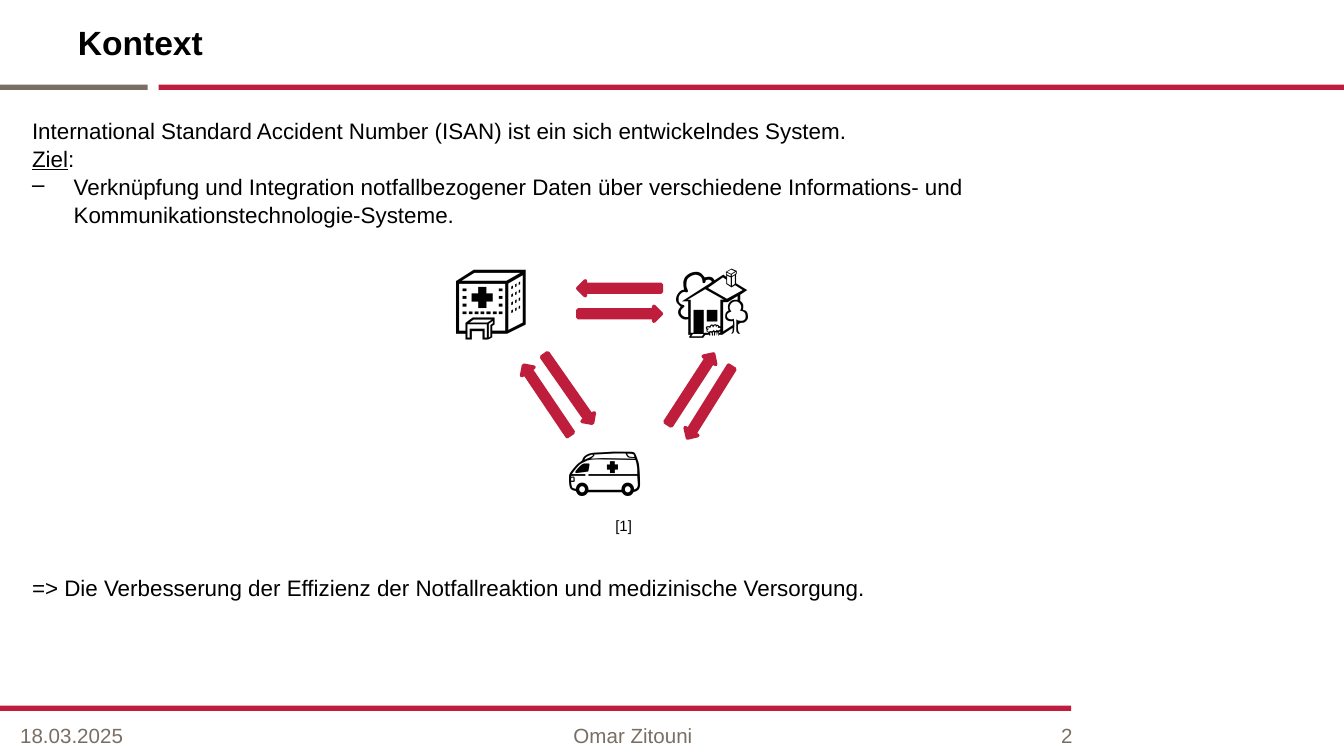
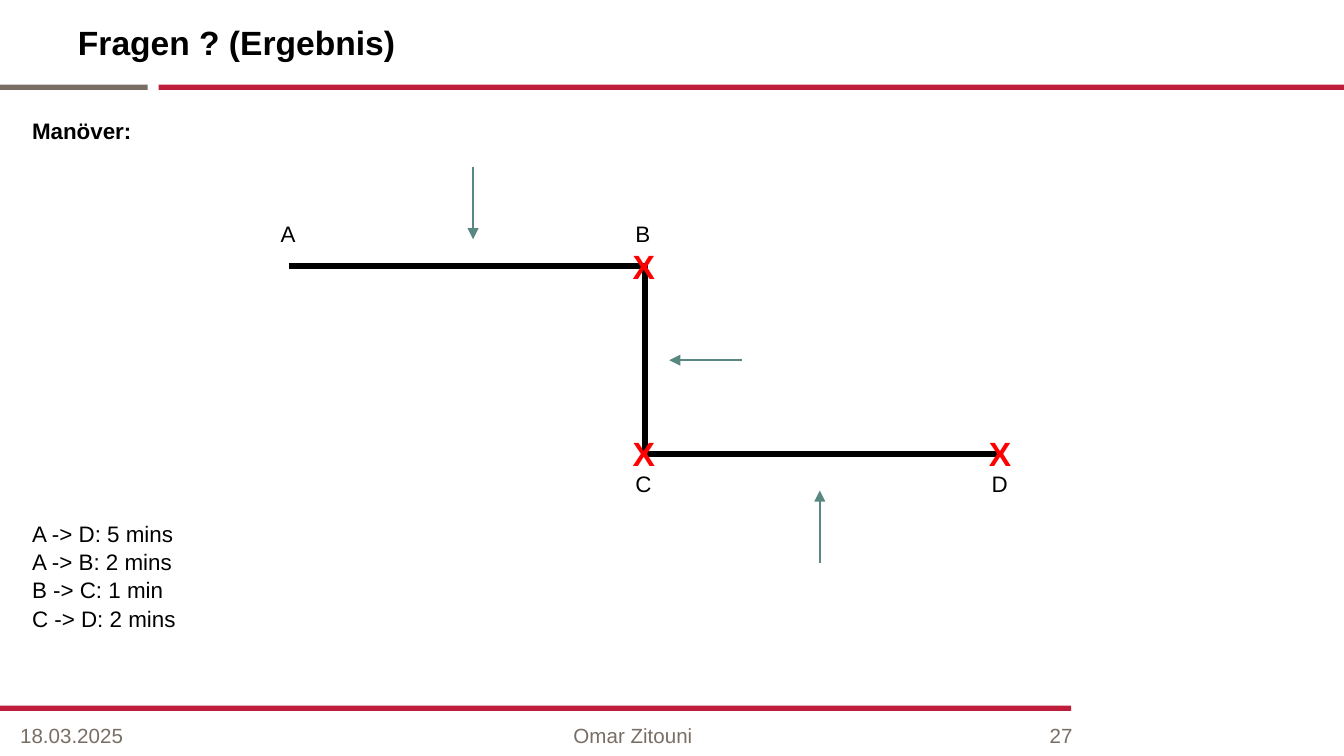
from lxml import etree
from pptx import Presentation
from pptx.dml.color import RGBColor
from pptx.enum.shapes import MSO_CONNECTOR, MSO_SHAPE
from pptx.enum.text import MSO_ANCHOR, PP_ALIGN
from pptx.oxml.ns import qn
from pptx.util import Inches, Pt

RECT, ARROW = MSO_SHAPE.RECTANGLE, MSO_SHAPE.RIGHT_ARROW
LINE, ELBOW = MSO_CONNECTOR.STRAIGHT, MSO_CONNECTOR.ELBOW
TOP, MID = MSO_ANCHOR.TOP, MSO_ANCHOR.MIDDLE
LEFT, MIDST, RIGHT = PP_ALIGN.LEFT, PP_ALIGN.CENTER, PP_ALIGN.RIGHT

RED = RGBColor(0xBE, 0x1E, 0x3C)
GREY = RGBColor(0x78, 0x6E, 0x64)
TEAL = RGBColor(0x59, 0x87, 0x82)
CROSS = RGBColor(0xFF, 0, 0)
BLACK = RGBColor(0, 0, 0)

WIDE = Inches(10)
HIGH = WIDE * 9 // 16
CELL = WIDE // 100

SLIM = (0.7, 0.4)
BODY = (1, 1)
TAG = (1, 0.5)
BANDS = [(11.8, 6.3, 88.2, RED), (0, 6.3, 11, GREY), (0, 52.5, 79.7, RED)]


def grid(*cells):
    """Turn grid cells into slide lengths."""
    return [round(cell * CELL) for cell in cells]


def assign(item, values):
    """Set each named value on an item."""
    for name, value in values.items():
        setattr(item, name, value)


def fill(frame, paras, size=12, color=BLACK, bold=False, align=LEFT,
         anchor=TOP, pad=BODY, wrap=True, space=1.0):
    """Write paragraphs, each a list of text and underline pairs."""
    side, edge = grid(*pad)
    assign(frame, {"margin_left": side, "margin_right": side,
                   "margin_top": edge, "margin_bottom": edge,
                   "word_wrap": wrap, "vertical_anchor": anchor})
    for num, runs in enumerate(paras):
        para = frame.add_paragraph() if num else frame.paragraphs[0]
        assign(para, {"alignment": align, "line_spacing": space})
        for text, under in runs:
            run = para.add_run()
            run.text = text
            assign(run.font, {"name": "Arial", "size": Pt(size), "bold": bold,
                              "underline": under})
            run.font.color.rgb = color


def plain(*lines):
    """Make one paragraph without underline from each line."""
    return [[(line, False)] for line in lines]


def write(slide, box, paras, **style):
    """Add a text box on the grid."""
    frame = slide.shapes.add_textbox(*grid(*box)).text_frame
    fill(frame, paras, **style)
    return frame


def dash(para):
    """Give a paragraph a hanging dash."""
    props = para._p.get_or_add_pPr()
    step = grid(3.1)[0]
    props.set("marL", str(step))
    props.set("indent", str(-step))
    etree.SubElement(props, qn("a:buChar")).set("char", "–")


def block(slide, kind, box, color, turn=0, edge=0):
    """Add a flat shape, turned and outlined on demand."""
    shape = slide.shapes.add_shape(kind, *grid(*box))
    assign(shape, {"rotation": turn})
    shape.shadow.inherit = False
    shape.fill.solid()
    shape.fill.fore_color.rgb = color
    if edge:
        shape.line.color.rgb = color
        shape.line.width = Pt(edge)
    else:
        shape.line.fill.background()


def link(slide, kind, ends, color, width, head=False):
    """Add a connector, with an arrowhead on demand."""
    wire = slide.shapes.add_connector(kind, *grid(*ends))
    wire.line.color.rgb = color
    wire.line.width = Pt(width)
    if head:
        tip = etree.SubElement(wire.line._get_or_add_ln(), qn("a:tailEnd"))
        tip.set("type", "triangle")
    etree.SubElement(wire._element.spPr, qn("a:effectLst"))


def start(deck, title, page):
    """Add a slide with its title, bands and footer."""
    slide = deck.slides.add_slide(deck.slide_layouts[5])
    head = slide.shapes.title
    names = ("left", "top", "width", "height")
    assign(head, dict(zip(names, grid(5.1, 1.2, 93.2, 3.6))))
    fill(head.text_frame, plain(title), size=18, bold=True, pad=SLIM)
    for left, top, width, color in BANDS:
        block(slide, RECT, (left, top, width, 0.4), color)
    foot = [(0.8, 21.7, "18.03.2025", LEFT),
            (21.5, 51.2, "Omar Zitouni", MIDST), (72.6, 7.9, page, RIGHT)]
    for left, width, text, align in foot:
        write(slide, (left, 53.2, width, 3), plain(text), size=11, color=GREY,
              align=align, anchor=MID, pad=SLIM)
    return slide


def context(deck):
    """Build the slide on the ISAN context."""
    slide = start(deck, "Kontext", "2")
    paras = plain(
        "International Standard Accident Number (ISAN) ist ein sich "
        "entwickelndes System.")
    paras.append([("Ziel", True), (":", False)])
    paras += plain(
        "Verknüpfung und Integration notfallbezogener Daten über verschiedene "
        "Informations- und Kommunikationstechnologie-Systeme.")
    frame = write(slide, (1.4, 7.6, 89, 10), paras, space=1.05)
    dash(frame.paragraphs[-1])
    for mid, row, icon in [(36.6, 22, "🏥"), (53, 22, "🏡"), (45, 34.7, "🚑")]:
        write(slide, (mid - 5, row - 4, 10, 8), plain(icon), size=40,
              align=MIDST, anchor=MID, pad=(0, 0))
    arrows = [(48.3, 28.4, 303), (49.7, 29.4, 122), (37.6, 29.2, 236),
              (39.2, 28.4, 55), (43, 20.9, 180), (43, 22.8, 0)]
    for left, top, turn in arrows:
        block(slide, ARROW, (left, top, 6.2, 1.1), RED, turn, 2)
    write(slide, (44.8, 37.4, 3.9, 3.4), plain("[1]"), size=8, anchor=MID)
    write(slide, (1.4, 41.6, 89, 4), plain(
        "=> Die Verbesserung der Effizienz der Notfallreaktion und "
        "medizinische Versorgung."), space=1.05)


def result(deck):
    """Build the slide on the manoeuvre result."""
    slide = start(deck, "Fragen ? (Ergebnis)", "27")
    write(slide, (1.4, 7.6, 30, 4), plain("Manöver:"), bold=True, space=1.05)
    write(slide, (1.4, 37.6, 30, 11), plain(
        "A -> D: 5 mins", "A -> B: 2 mins", "B -> C: 1 min", "C -> D: 2 mins"),
        space=1.05)
    link(slide, ELBOW, (21.5, 19.8, 74.5, 33.8), BLACK, 3)
    for left, top in [(46.1, 17.8), (46.1, 31.7), (72.6, 31.7)]:
        write(slide, (left, top, 3.3, 4), plain("X"), size=18, color=CROSS,
              bold=True, pad=TAG)
    for ends in [(35.2, 12.4, 35.2, 17.8), (55.2, 26.8, 49.8, 26.8),
                 (61, 41.9, 61, 36.5)]:
        link(slide, LINE, ends, TEAL, 1, True)
    for left, top, name in [(19.9, 15.9, "A"), (46.3, 15.9, "B"),
                            (46.3, 34.5, "C"), (72.8, 34.5, "D")]:
        write(slide, (left, top, 3.2, 3), plain(name), pad=TAG, wrap=False)


def main():
    """Build and save the deck."""
    deck = Presentation()
    assign(deck, {"slide_width": WIDE, "slide_height": HIGH})
    context(deck)
    result(deck)
    deck.save("out.pptx")


if __name__ == "__main__":
    main()
